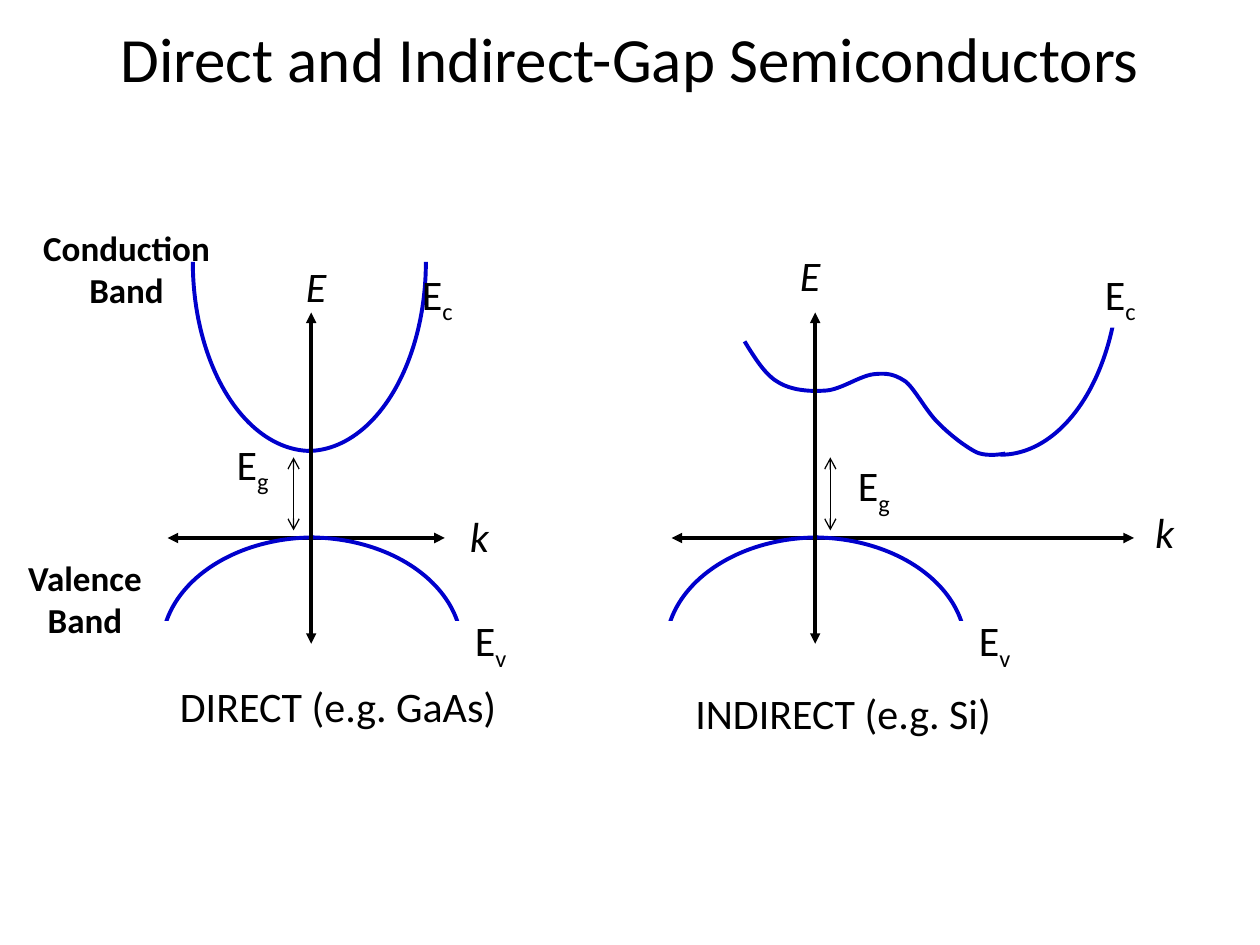
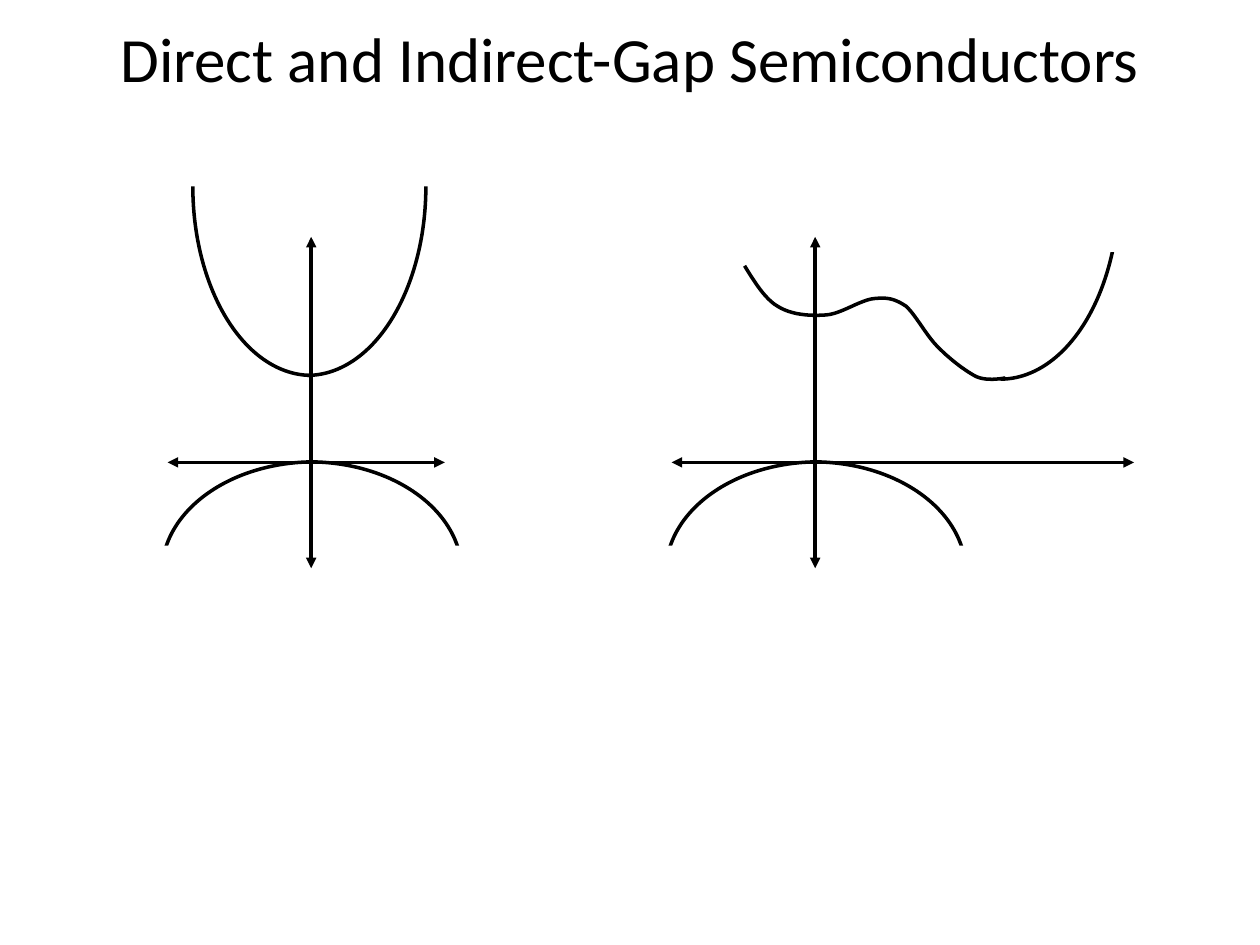
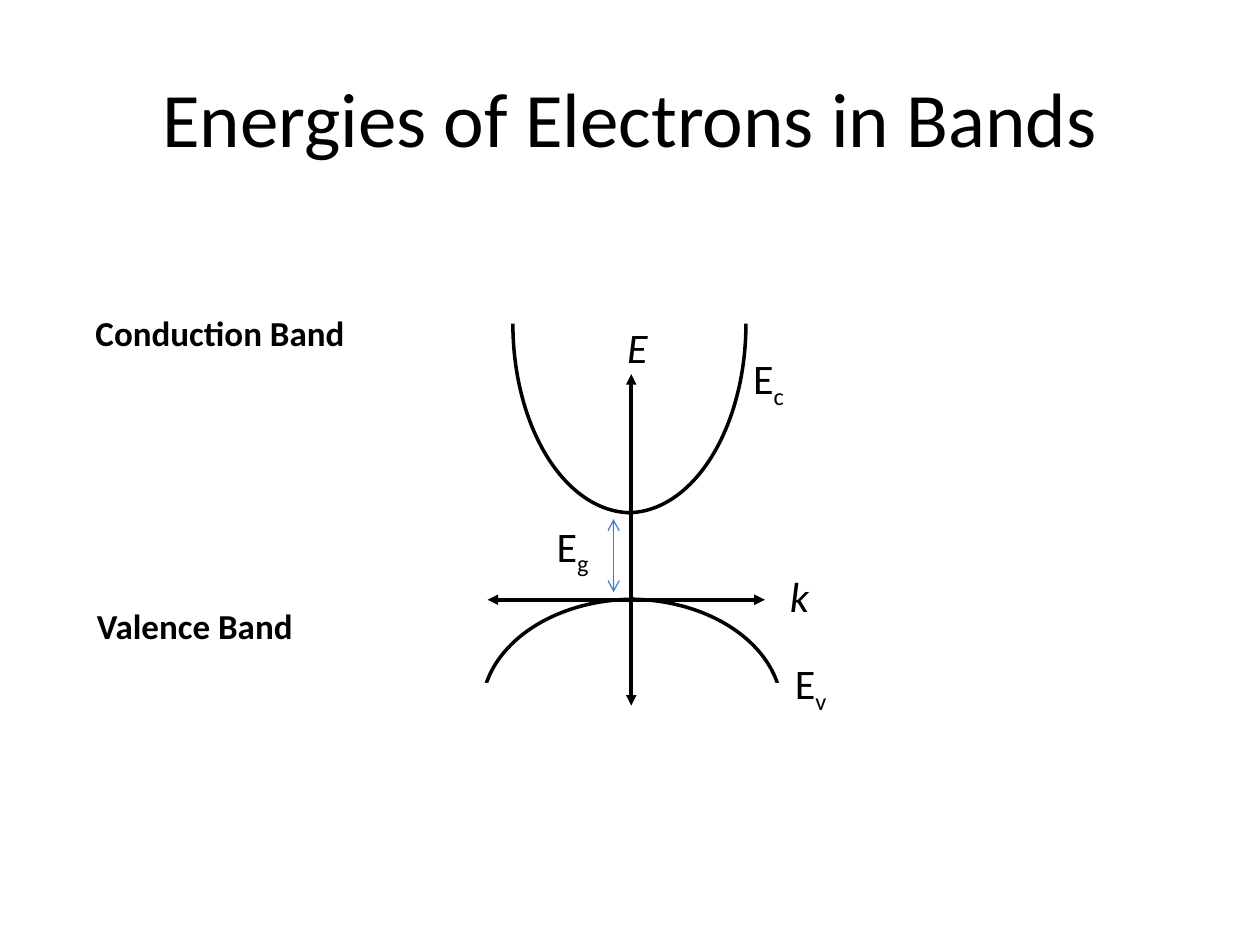
"""Build three slides on direct and indirect band gaps in semiconductors."""
from dataclasses import dataclass
from typing import Any

import lxml.etree
import pptx
import pptx.dml.color
import pptx.enum.shapes
import pptx.enum.text
import pptx.oxml.ns
import pptx.slide
import pptx.util

Inches = pptx.util.Inches
Pt = pptx.util.Pt
qn = pptx.oxml.ns.qn
SHAPE = pptx.enum.shapes.MSO_SHAPE
CENTER = pptx.enum.text.PP_ALIGN.CENTER

COLORS = {"ink": "000000", "paper": "FFFFFF", "band": "0000CC", "gap": "4B7EBC"}
FONT = "Calibri"
SYMBOL = {"size": Pt(24)}
AXIS_NAME = {"size": Pt(24), "italic": True}
BAND_NAME = {"size": Pt(20), "bold": True}
HANGING = Inches(0.38)

VALLEY_START = (-0.56, -1.56)
VALLEY_CURVES = [
    ((-0.48, -1.43), (-0.40, -1.30), (-0.30, -1.24)),
    ((-0.19, -1.17), (-0.04, -1.16), (0.09, -1.17)),
    ((0.21, -1.18), (0.36, -1.29), (0.47, -1.30)),
    ((0.57, -1.31), (0.63, -1.30), (0.72, -1.24)),
    ((0.80, -1.17), (0.89, -0.99), (0.99, -0.90)),
    ((1.08, -0.81), (1.20, -0.72), (1.28, -0.68)),
    ((1.37, -0.64), (1.51, -0.67), (1.51, -0.67)),
]
CURVE_STEPS = 12


@dataclass
class Label:
    """A short text, with an optional subscript, at a place on the slide."""

    left: float
    top: float
    width: float
    height: float
    text: str
    style: dict[str, Any]
    sub: str = ""
    centered: bool = False
    hanging: bool = False


@dataclass
class Diagram:
    """An E-k diagram whose axes cross at x, y."""

    x: float
    y: float
    direct: bool = True
    color: str = "ink"
    weight: float = 2
    gap_color: str = ""

    def at(self, dx: float, dy: float) -> tuple[float, float]:
        """Return the slide position of an offset from the crossing."""
        return self.x + dx, self.y + dy


def rgb(name: str) -> pptx.dml.color.RGBColor:
    """Return a named colour."""
    return pptx.dml.color.RGBColor.from_string(COLORS[name])


def set_line(shape: Any, color: str, weight: float) -> None:
    """Give a shape its outline."""
    shape.line.color.rgb = rgb(color)
    shape.line.width = Pt(weight)


def add_run(p: Any, text: str, style: dict[str, Any]) -> Any:
    """Add a run formatted from a dict of font values."""
    r = p.add_run()
    r.text = text
    for name, value in {"name": FONT, **style}.items():
        setattr(r.font, name, value)
    r.font.color.rgb = rgb("ink")
    return r


def add_title(s: pptx.slide.Slide, text: str, top: float, height: float, size: int) -> None:
    """Add the centred slide title."""
    tf = s.shapes.add_textbox(Inches(0.5), Inches(top), Inches(9), Inches(height)).text_frame
    tf.word_wrap = True
    tf.vertical_anchor = pptx.enum.text.MSO_ANCHOR.MIDDLE
    tf.paragraphs[0].alignment = CENTER
    add_run(tf.paragraphs[0], text, {"size": Pt(size)})


def add_label(s: pptx.slide.Slide, label: Label) -> None:
    """Add a label, one paragraph for each line of its text."""
    box = (label.left, label.top, label.width, label.height)
    tf = s.shapes.add_textbox(*map(Inches, box)).text_frame
    tf.word_wrap = label.centered
    tf.auto_size = pptx.enum.text.MSO_AUTO_SIZE.SHAPE_TO_FIT_TEXT
    for i, line in enumerate(label.text.split("\n")):
        p = tf.add_paragraph() if i else tf.paragraphs[0]
        if label.centered:
            p.alignment = CENTER
        if label.hanging:
            pPr = p._p.get_or_add_pPr()
            pPr.set("marL", str(HANGING))
            pPr.set("indent", str(-HANGING))
        add_run(p, line, label.style)
        if label.sub:
            r = add_run(p, label.sub, label.style)
            r._r.get_or_add_rPr().set("baseline", "-25000")


def add_arrow(s: pptx.slide.Slide, start: tuple[float, float], end: tuple[float, float],
              color: str, weight: float, head: str) -> None:
    """Add a straight line with an arrowhead at both ends."""
    line = s.shapes.add_connector(pptx.enum.shapes.MSO_CONNECTOR.STRAIGHT,
                                  *map(Inches, start + end))
    set_line(line, color, weight)
    spPr = line._element.spPr
    for tag in ("a:headEnd", "a:tailEnd"):
        lxml.etree.SubElement(spPr.find(qn("a:ln")), qn(tag)).set("type", head)
    lxml.etree.SubElement(spPr, qn("a:effectLst"))


def add_arc(shapes: Any, d: Diagram, dx: float, dy: float, width: float, height: float,
            rotation: int, flip: bool) -> None:
    """Add a quarter ellipse of a band edge."""
    arc = shapes.add_shape(SHAPE.ARC, *map(Inches, d.at(dx, dy) + (width, height)))
    arc.rotation = rotation
    arc.shadow.inherit = False
    arc.fill.background()
    set_line(arc, d.color, d.weight)
    if flip:
        arc._element.spPr.get_or_add_xfrm().set("flipH", "1")


def add_mask(s: pptx.slide.Slide, d: Diagram, dx: float, dy: float) -> None:
    """Add the plain strip where a band edge ends."""
    mask = s.shapes.add_shape(SHAPE.RECTANGLE, *map(Inches, d.at(dx, dy) + (3, 0.58)))
    mask.shadow.inherit = False
    mask.fill.solid()
    mask.fill.fore_color.rgb = rgb("paper")
    mask.line.fill.background()


def add_valleys(s: pptx.slide.Slide, d: Diagram) -> None:
    """Add the indirect conduction edge, sampled from its Bezier curves."""
    points = [VALLEY_START]
    for c1, c2, end in VALLEY_CURVES:
        start = points[-1]
        for step in range(1, CURVE_STEPS + 1):
            t = step / CURVE_STEPS
            u = 1 - t
            weights = (u ** 3, 3 * u * u * t, 3 * u * t * t, t ** 3)
            points.append(tuple(sum(w * v for w, v in zip(weights, values))
                                for values in zip(start, c1, c2, end)))
    places = [tuple(map(Inches, d.at(*point))) for point in points]
    builder = s.shapes.build_freeform(*places[0])
    builder.add_line_segments(places[1:], close=False)
    curve = builder.convert_to_shape()
    curve.shadow.inherit = False
    curve.fill.background()
    set_line(curve, d.color, d.weight)


def add_diagram(s: pptx.slide.Slide, d: Diagram) -> None:
    """Add the axes, both band edges and the gap arrow."""
    reach = 1.06 if d.direct else 2.53
    add_arrow(s, d.at(reach, 0), d.at(-1.14, 0), "ink", 2, "triangle")
    if d.direct:
        pair = s.shapes.add_group_shape().shapes
        add_arc(pair, d, -1.53, -3.13, 3, 1.88, 90, False)
        add_arc(pair, d, -1.50, -3.13, 3, 1.88, 270, True)
    else:
        add_arc(s.shapes, d, -0.03, -3.10, 3, 1.88, 90, False)
        add_mask(s, d, 0.11, -2.25)
        add_valleys(s, d)
    pair = s.shapes.add_group_shape().shapes
    add_arc(pair, d, -0.85, -0.34, 1.75, 2.42, 270, False)
    add_arc(pair, d, -0.89, -0.34, 1.75, 2.42, 90, True)
    add_mask(s, d, -1.47, 0.66)
    add_arrow(s, d.at(0, -1.79), d.at(0, 0.84), "ink", 2, "triangle")
    if d.gap_color:
        dx = -0.14 if d.direct else 0.12
        add_arrow(s, d.at(dx, -0.64), d.at(dx, -0.06), d.gap_color, 0.75, "arrow")


def add_slide(prs: Any, title: tuple[str, float, float, int], diagrams: list[Diagram],
              labels: list[Label]) -> None:
    """Add a slide with its title, diagrams and labels."""
    s = prs.slides.add_slide(prs.slide_layouts[6])
    add_title(s, *title)
    for d in diagrams:
        add_diagram(s, d)
    for label in labels:
        add_label(s, label)


def energy(left: float, top: float, sub: str) -> Label:
    """Return an energy symbol with its subscript."""
    return Label(left, top, 0.46, 0.5, "E", SYMBOL, sub)


def axis_name(left: float, top: float, text: str) -> Label:
    """Return the name of an axis."""
    return Label(left, top, 0.37 if text == "E" else 0.35, 0.5, text, AXIS_NAME)


def main() -> None:
    """Build and save the presentation."""
    prs = pptx.Presentation()
    prs.slide_width, prs.slide_height = Inches(10), Inches(7.5)
    gap_title = ("Direct and Indirect-Gap Semiconductors", 0.08, 0.75, 36)
    add_slide(prs, gap_title, [
        Diagram(2.47, 4.27, True, "band", 2.25, "ink"),
        Diagram(6.47, 4.27, False, "band", 2.25, "ink"),
    ], [
        axis_name(2.33, 2.02, "E"),
        axis_name(3.63, 4, "k"),
        energy(3.25, 2.08, "c"),
        energy(3.67, 4.83, "v"),
        energy(1.78, 3.43, "g"),
        axis_name(6.25, 1.93, "E"),
        axis_name(9.07, 3.97, "k"),
        energy(8.67, 2.08, "c"),
        energy(7.67, 4.83, "v"),
        energy(6.71, 3.6, "g"),
        Label(1.33, 5.35, 2.73, 0.5, "DIRECT (e.g. GaAs)", SYMBOL),
        Label(5.42, 5.41, 2.57, 0.5, "INDIRECT (e.g. Si)", SYMBOL),
        Label(0.14, 1.75, 1.73, 0.77, "Conduction\nBand", BAND_NAME, centered=True, hanging=True),
        Label(-0.19, 4.37, 1.73, 0.77, "Valence\nBand", BAND_NAME, centered=True, hanging=True),
    ])
    add_slide(prs, gap_title, [Diagram(2.47, 3.67), Diagram(6.47, 3.67, False)], [])
    add_slide(prs, ("Energies of Electrons in Bands", 0.3, 1.25, 44), [
        Diagram(5.01, 4.76, gap_color="gap"),
    ], [
        axis_name(4.88, 2.5, "E"),
        axis_name(6.17, 4.48, "k"),
        energy(5.88, 2.75, "c"),
        energy(6.21, 5.17, "v"),
        energy(4.32, 4.08, "g"),
        Label(0.67, 4.75, 1.77, 0.44, "Valence Band", BAND_NAME, hanging=True),
        Label(0.66, 2.42, 2.2, 0.44, "Conduction Band", BAND_NAME, hanging=True),
    ])
    prs.save("out.pptx")


main()
